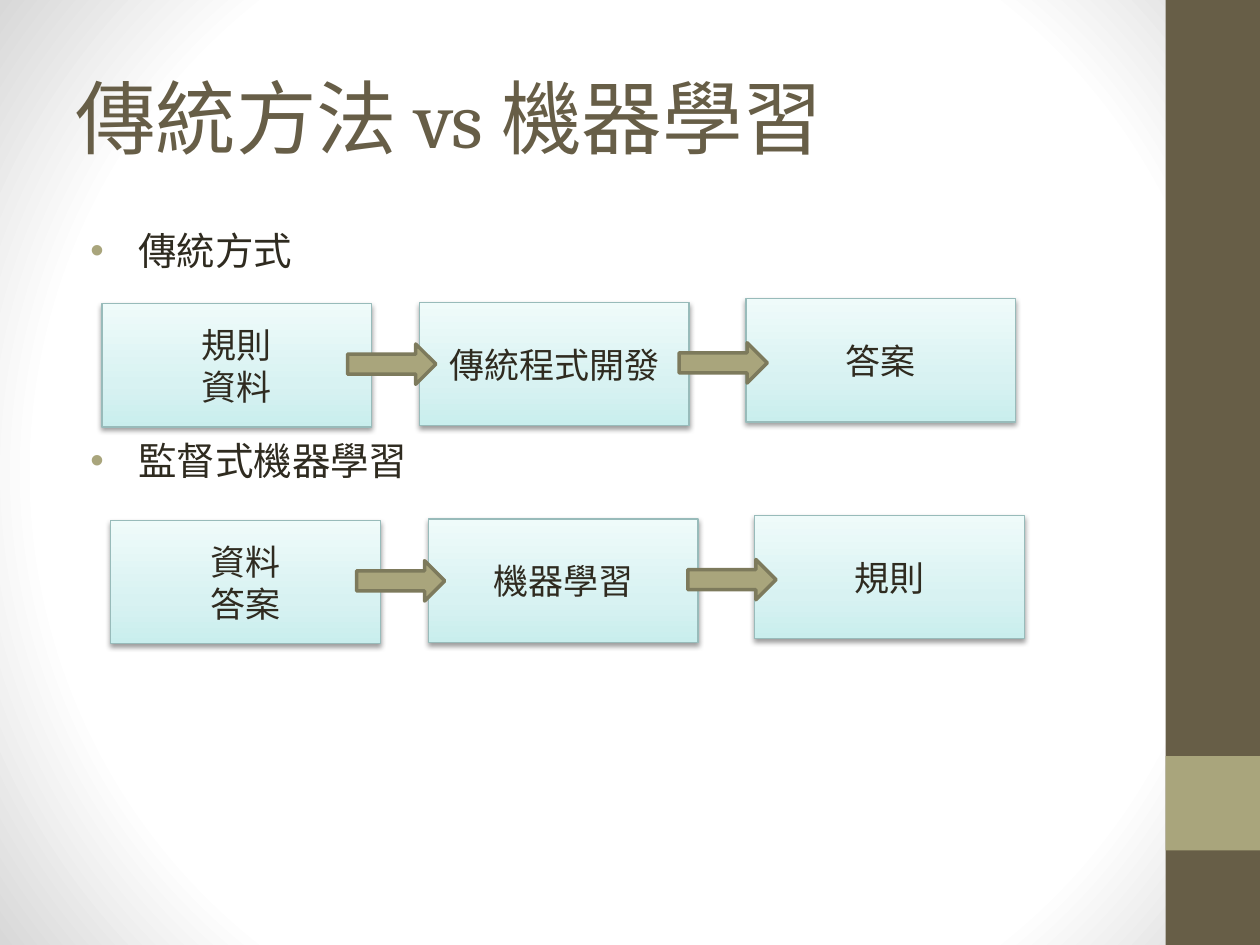
from lxml import etree
from pptx import Presentation
from pptx.dml.color import RGBColor
from pptx.enum.shapes import MSO_SHAPE
from pptx.enum.text import MSO_ANCHOR, PP_ALIGN
from pptx.oxml import parse_xml
from pptx.oxml.ns import nsdecls, qn
from pptx.util import Inches, Pt

RECTANGLE, RIGHT_ARROW = MSO_SHAPE.RECTANGLE, MSO_SHAPE.RIGHT_ARROW
MIDDLE, CENTER = MSO_ANCHOR.MIDDLE, PP_ALIGN.CENTER

BROWN = RGBColor(0x67, 0x5E, 0x47)
OLIVE = RGBColor(0xA9, 0xA5, 0x7C)
DARK_OLIVE = RGBColor(0x7D, 0x7A, 0x5C)
INK = RGBColor(0x2F, 0x2B, 0x20)
TEAL = RGBColor(0x98, 0xBB, 0xBA)
PAGE_STOPS = [(0, "FFFFFF"), (75, "FFFFFF"), (100, "D8D8D8")]
BOX_STOPS = [(0, "C9EEED"), (35, "D8F2F2"), (100, "EFFBFA")]
RADIAL = ('<a:path path="circle">'
          '<a:fillToRect l="0" t="0" r="0" b="0"/></a:path>')
UPWARD = '<a:lin ang="16200000" scaled="0"/>'

TITLE = "傳統方法 vs 機器學習"
# heading, space before it in points
HEADINGS = [("傳統方式", 3.6), ("監督式機器學習", 94)]
# Each step is a list of lines: (text, first-line indent in inches)
FLOWS = [
    [[("規則", -0.14), ("資料", -0.14)], [("傳統程式開發", 0)], [("答案", 0)]],
    [[("資料", -0.14), ("答案", 0)], [("機器學習", 0)], [("規則", 0)]],
]
BOX_PLACES = [(0.81, 2.41), (3.33, 2.4), (5.92, 2.37)]
ARROW_PLACES = [(2.76, 2.73), (5.39, 2.72)]
BOX_SIZE = (2.14, 0.98)
ARROW_SIZE = (0.7, 0.32)
FLOW_SHIFT = (0.07, 1.72)


def replace_fill(fill, holder, stops, direction):
    """Give the holder a gradient with any number of stops."""
    fill.background()
    marks = "".join(
        f'<a:gs pos="{pos * 1000}"><a:srgbClr val="{color}"/></a:gs>'
        for pos, color in stops)
    gradient = parse_xml(
        f'<a:gradFill {nsdecls("a")} rotWithShape="1">'
        f'<a:gsLst>{marks}</a:gsLst>{direction}</a:gradFill>')
    holder.replace(holder.find(qn("a:noFill")), gradient)


def add_block(slide, kind, place, size, color=None):
    block = slide.shapes.add_shape(kind, *map(Inches, place + size))
    block.shadow.inherit = False
    block.line.fill.background()
    if color is not None:
        block.fill.solid()
        block.fill.fore_color.rgb = color
    return block


def set_outline(shape, color, width):
    shape.line.color.rgb = color
    shape.line.width = Pt(width)


def set_font(paragraph, name, size, color):
    paragraph.font.name = name
    paragraph.font.size = Pt(size)
    paragraph.font.color.rgb = color


def add_shadow(shape):
    effects = shape.element.spPr.find(qn("a:effectLst"))
    shadow = etree.SubElement(
        effects, qn("a:outerShdw"), blurRad=str(Pt(3.1)), dist=str(Pt(1.6)),
        dir="5400000", rotWithShape="0")
    black = etree.SubElement(shadow, qn("a:srgbClr"), val="000000")
    etree.SubElement(black, qn("a:alpha"), val="38000")


def add_bullet(paragraph):
    properties = paragraph._p.get_or_add_pPr()
    properties.set("marL", str(Inches(0.5)))
    properties.set("indent", str(Inches(-0.38)))
    color = etree.SubElement(properties, qn("a:buClr"))
    etree.SubElement(color, qn("a:srgbClr"), val=str(OLIVE))
    etree.SubElement(properties, qn("a:buFont"), typeface="Arial")
    etree.SubElement(properties, qn("a:buChar"), char="•")


def add_text_frame(slide, place, size):
    frame = slide.shapes.add_textbox(*map(Inches, place + size)).text_frame
    frame.word_wrap = True
    return frame


def paragraphs_for(frame, count):
    for _ in range(count - 1):
        frame.add_paragraph()
    return frame.paragraphs


def add_step(slide, place, lines):
    box = add_block(slide, RECTANGLE, place, BOX_SIZE)
    replace_fill(box.fill, box.element.spPr, BOX_STOPS, UPWARD)
    set_outline(box, TEAL, 0.75)
    add_shadow(box)
    frame = box.text_frame
    frame.vertical_anchor = MIDDLE
    for paragraph, (text, indent) in zip(paragraphs_for(frame, len(lines)), lines):
        paragraph.text = text
        paragraph.alignment = CENTER
        set_font(paragraph, "Arial", 20, INK)
        if indent:
            paragraph._p.get_or_add_pPr().set("indent", str(Inches(indent)))


def main():
    prs = Presentation()
    prs.slide_width, prs.slide_height = Inches(10), Inches(7.5)
    slide = prs.slides.add_slide(prs.slide_layouts[6])
    page_fill = slide.background.fill
    page_fill.background()
    page = slide.element.cSld.find(qn("p:bg")).find(qn("p:bgPr"))
    replace_fill(page_fill, page, PAGE_STOPS, RADIAL)

    add_block(slide, RECTANGLE, (9.25, 0), (0.75, 7.5), BROWN)
    add_block(slide, RECTANGLE, (9.25, 6), (0.75, 0.75), OLIVE)

    title = add_text_frame(slide, (0.5, 0.3), (8.33, 1.25))
    title.vertical_anchor = MIDDLE
    title.text = TITLE
    set_font(title.paragraphs[0], "Cambria", 46, BROWN)

    body = add_text_frame(slide, (0.5, 1.75), (8.33, 5.25))
    for paragraph, (heading, gap) in zip(
            paragraphs_for(body, len(HEADINGS)), HEADINGS):
        paragraph.text = heading
        paragraph.space_before = Pt(gap)
        add_bullet(paragraph)
        set_font(paragraph, "Calibri", 22, INK)

    for row, steps in enumerate(FLOWS):
        def shifted(place):
            return tuple(at + row * step for at, step in zip(place, FLOW_SHIFT))

        for place, lines in zip(BOX_PLACES, steps):
            add_step(slide, shifted(place), lines)
        for place in ARROW_PLACES:
            arrow = add_block(slide, RIGHT_ARROW, shifted(place), ARROW_SIZE, OLIVE)
            set_outline(arrow, DARK_OLIVE, 2)

    prs.save("out.pptx")


if __name__ == "__main__":
    main()
